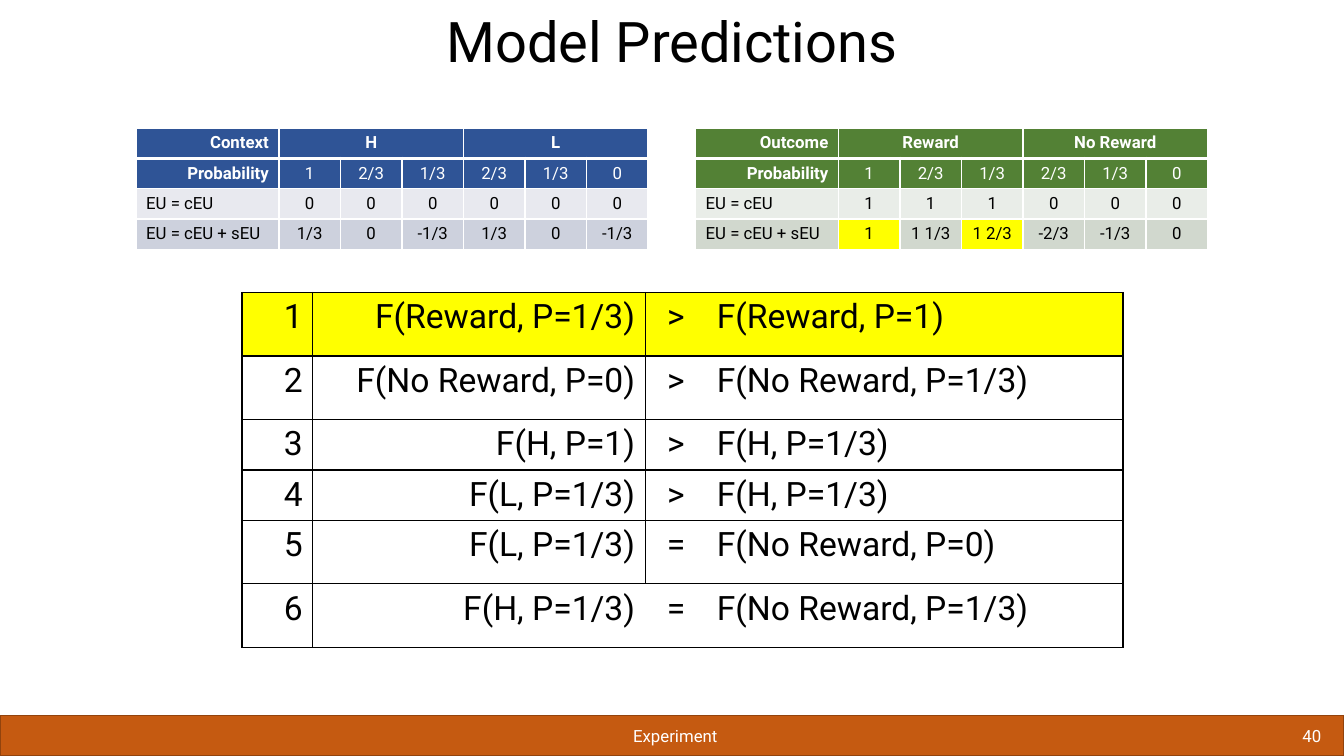
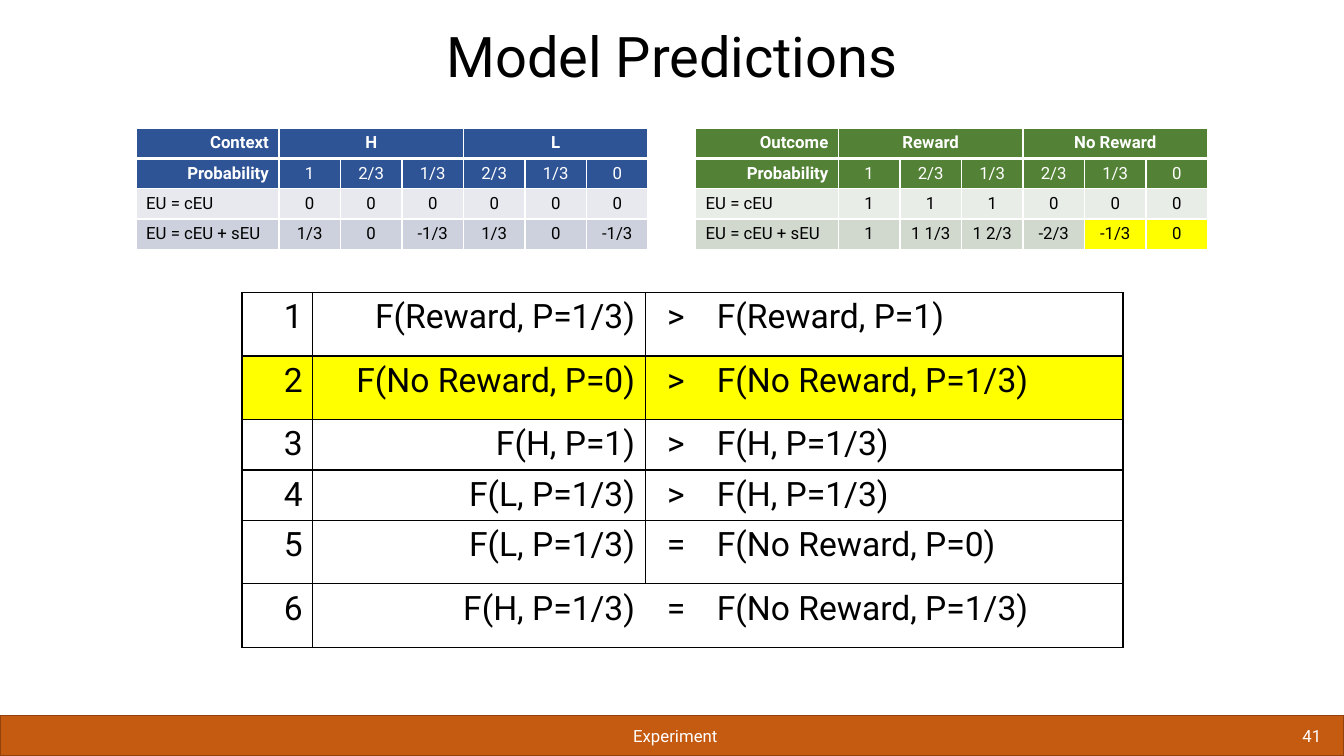
import pptx
import pptx.dml.color
import pptx.enum.shapes
import pptx.enum.text
import pptx.oxml.ns
import pptx.util
from lxml import etree

Cm, Pt = pptx.util.Cm, pptx.util.Pt
ALIGN = pptx.enum.text.PP_ALIGN
ANCHOR = pptx.enum.text.MSO_ANCHOR

FONT = "Roboto"
COLORS = {
    "black": "000000",
    "white": "FFFFFF",
    "highlight": "FFFF00",
    "band": "C55A11",
    "band line": "92430D",
    "blue": "2F5496",
    "blue light": "E8E9EF",
    "blue mid": "CDD1DD",
    "green": "538135",
    "green light": "E9EDE8",
    "green mid": "D1D8CE",
}

PAGE_WIDTH, PAGE_HEIGHT = 33.87, 19.05
BAND_HEIGHT = 1.02
BAND_TOP = PAGE_HEIGHT - BAND_HEIGHT

PROBABILITIES = ["1", "2/3", "1/3", "2/3", "1/3", "0"]
CONTEXT = {
    "name": "Context",
    "groups": ["H", "L"],
    "color": "blue",
    "values": [["0"] * 6, ["1/3", "0", "-1/3", "1/3", "0", "-1/3"]],
}
OUTCOME = {
    "name": "Outcome",
    "groups": ["Reward", "No Reward"],
    "color": "green",
    "values": [["1", "1", "1", "0", "0", "0"],
               ["1", "1 1/3", "1 2/3", "-2/3", "-1/3", "0"]],
}
PREDICTIONS = [
    ("F(Reward, P=1/3)", ">", "F(Reward, P=1)"),
    ("F(No Reward, P=0)", ">", "F(No Reward, P=1/3)"),
    ("F(H, P=1)", ">", "F(H, P=1/3)"),
    ("F(L, P=1/3)", ">", "F(H, P=1/3)"),
    ("F(L, P=1/3)", "=", "F(No Reward, P=0)"),
    ("F(H, P=1/3)", "=", "F(No Reward, P=1/3)"),
]


def rgb(color):
    return pptx.dml.color.RGBColor.from_string(COLORS[color])


def write(frame, text, size=12, color="black", bold=False, align=ALIGN.LEFT,
          anchor=ANCHOR.TOP, spacing=1.0):
    frame.word_wrap = True
    frame.vertical_anchor = anchor
    para = frame.paragraphs[0]
    para.alignment = align
    para.line_spacing = spacing
    span = para.add_run()
    span.text = text
    span.font.name = FONT
    span.font.size = Pt(size)
    span.font.bold = bold
    span.font.color.rgb = rgb(color)


def set_borders(cell, color, **widths):
    """Draw the sides L, R, T and B in points; a width of 0 hides a side."""
    properties = cell._tc.get_or_add_tcPr()
    for side in "LRTB":
        width = widths.get(side, 1)
        line = etree.SubElement(properties, pptx.oxml.ns.qn(f"a:ln{side}"),
                                w=str(Pt(width)))
        if width:
            fill = etree.SubElement(line, pptx.oxml.ns.qn("a:solidFill"))
            etree.SubElement(fill, pptx.oxml.ns.qn("a:srgbClr"), val=COLORS[color])
        else:
            etree.SubElement(line, pptx.oxml.ns.qn("a:noFill"))


def set_fill(cell, color):
    if color:
        cell.fill.solid()
        cell.fill.fore_color.rgb = rgb(color)
    else:
        cell.fill.background()


class Deck:
    def __init__(self):
        self.deck = pptx.Presentation()
        self.deck.slide_width = Cm(PAGE_WIDTH)
        self.deck.slide_height = Cm(PAGE_HEIGHT)
        self.page = None

    def add_page(self, title, title_top, section, number):
        self.page = self.deck.slides.add_slide(self.deck.slide_layouts[5])
        self.band()
        self.title(title, title_top)
        self.footer(section, 5.69, 22.66, ALIGN.CENTER)
        self.footer(str(number), 28.32, 5.23, ALIGN.RIGHT)

    def band(self):
        band = self.page.shapes.add_shape(
            pptx.enum.shapes.MSO_SHAPE.RECTANGLE,
            0, Cm(BAND_TOP), Cm(PAGE_WIDTH), Cm(BAND_HEIGHT))
        band.shadow.inherit = False
        band.fill.solid()
        band.fill.fore_color.rgb = rgb("band")
        band.line.color.rgb = rgb("band line")
        band.line.width = Pt(1)

    def title(self, text, top):
        title = self.page.shapes.title
        title.left, title.top = Cm(1.68), Cm(top)
        title.width, title.height = Cm(30.51), Cm(1.8)
        title.text_frame.auto_size = pptx.enum.text.MSO_AUTO_SIZE.NONE
        write(title.text_frame, text, size=40, align=ALIGN.CENTER,
              anchor=ANCHOR.BOTTOM, spacing=0.9)

    def footer(self, text, left, width, align):
        box = self.page.shapes.add_textbox(
            Cm(left), Cm(BAND_TOP), Cm(width), Cm(BAND_HEIGHT))
        write(box.text_frame, text, color="white", align=align,
              anchor=ANCHOR.MIDDLE)

    def table(self, left, top, widths, heights):
        table = self.page.shapes.add_table(
            len(heights), len(widths), Cm(left), Cm(top),
            Cm(sum(widths)), Cm(sum(heights))).table
        table.first_row = table.horz_banding = False
        for column, width in zip(table.columns, widths):
            column.width = Cm(width)
        for row, height in zip(table.rows, heights):
            row.height = Cm(height)
        return table

    def utility_table(self, left, data, highlighted=()):
        """Tabulate utilities; highlighted lists value columns of the last row."""
        table = self.table(left, 3.23, [3.6] + [1.55] * 6, [0.75] * 4)
        first, second = data["groups"]
        rows = [
            [data["name"], first, "", "", second, "", ""],
            ["Probability"] + PROBABILITIES,
            ["EU = cEU"] + data["values"][0],
            ["EU = cEU + sEU"] + data["values"][1],
        ]
        base = data["color"]
        fills = [base, base, f"{base} light", f"{base} mid"]
        for r, texts in enumerate(rows):
            header = r < 2
            for c, text in enumerate(texts):
                cell = table.cell(r, c)
                set_borders(cell, "white", T=3 if r == 1 else 1,
                            B=3 if r == 0 else 1)
                marked = r == 3 and c - 1 in highlighted
                set_fill(cell, "highlight" if marked else fills[r])
                label_align = ALIGN.RIGHT if header else ALIGN.LEFT
                if text:
                    write(cell.text_frame, text,
                          color="white" if header else "black",
                          bold=r == 0 or (header and c == 0),
                          align=ALIGN.CENTER if c else label_align)
        for c in (1, 4):
            table.cell(0, c).merge(table.cell(0, c + 2))

    def prediction_table(self, highlighted):
        table = self.table(6.1, 7.37, [1.78, 8.38, 1.55, 10.49],
                           [1.6, 1.6, 1.25, 1.25, 1.6, 1.6])
        aligns = [ALIGN.RIGHT, ALIGN.RIGHT, ALIGN.CENTER, ALIGN.LEFT]
        last = len(PREDICTIONS) - 1
        for r, prediction in enumerate(PREDICTIONS):
            divider = 0 if r == last else 1
            sides = [{}, {"R": divider}, {"L": divider, "R": 0}, {"L": 0}]
            for c, text in enumerate((str(r + 1),) + prediction):
                cell = table.cell(r, c)
                set_borders(cell, "black", **sides[c])
                set_fill(cell, "highlight" if r == highlighted else None)
                write(cell.text_frame, text, size=24, align=aligns[c])


def main():
    deck = Deck()
    pages = [
        # title top, number, highlighted prediction, highlighted outcomes
        (0.2, 40, 0, (0, 2)),
        (0.58, 41, 1, (4, 5)),
    ]
    for title_top, number, prediction, outcomes in pages:
        deck.add_page("Model Predictions", title_top, "Experiment", number)
        deck.prediction_table(prediction)
        deck.utility_table(3.43, CONTEXT)
        deck.utility_table(17.53, OUTCOME, outcomes)
    deck.deck.save("out.pptx")


if __name__ == "__main__":
    main()
